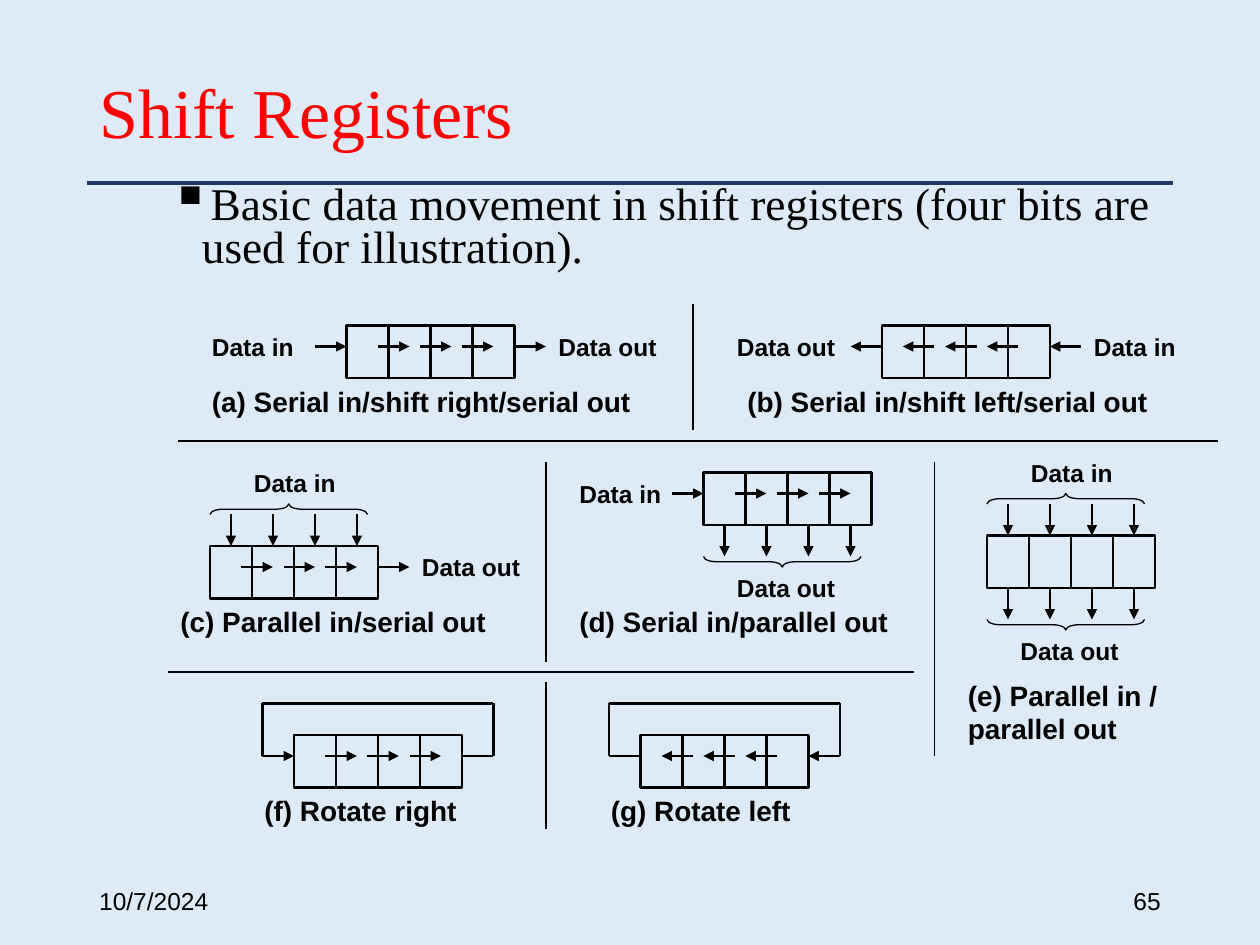
from typing import NamedTuple

from lxml.etree import SubElement
from pptx import Presentation
from pptx.dml.color import RGBColor
from pptx.enum.shapes import MSO_CONNECTOR as Link, MSO_SHAPE as Shape
from pptx.enum.text import MSO_ANCHOR as Anchor, MSO_AUTO_SIZE as Fit, PP_ALIGN as Align
from pptx.oxml.ns import qn
from pptx.util import Cm, Pt

SKY = RGBColor(0xDE, 0xEB, 0xF7)
NAVY = RGBColor(0x20, 0x38, 0x64)
RED = RGBColor(0xFF, 0, 0)
BLACK = RGBColor(0, 0, 0)
SERIF, SANS = "Times New Roman", "Arial"

# The diagrams sit on a grid of twelve steps to the inch
STEP = 2.54 / 12
CELL, BITS, HIGH, REACH, MID = 4, 4, 5, 3, 2
WIDE = CELL * BITS


class Label(NamedTuple):
    text: str
    x: float
    y: float
    wide: float
    size: int = 14


class Panel(NamedTuple):
    x: float
    y: float
    labels: list[Label]
    shift: int = 1          # 1 right, -1 left, 0 none
    ends: str = ""          # serial data: "in", "out"
    rows: str = ""          # parallel data: "in", "out"
    loop: bool = False


def data_in(x: float, y: float) -> Label:
    return Label("Data in", x, y, 11)


def data_out(x: float, y: float) -> Label:
    return Label("Data out", x, y, 12)


def title(text: str, x: float, y: float, wide: float) -> Label:
    return Label(text, x, y, wide, 16)


PANELS = [
    Panel(33, 31, [data_in(19, 31), data_out(52, 31),
                   title("(a) Serial in/shift right/serial out", 19, 36, 43)],
          ends="in out"),
    Panel(84, 31, [data_in(103, 31), data_out(69, 31),
                   title("(b) Serial in/shift left/serial out", 70, 36, 43)],
          shift=-1, ends="in out"),
    Panel(20, 52, [data_in(23, 44), data_out(39, 52),
                   title("(c) Parallel in/serial out", 16, 57, 33)],
          ends="out", rows="in"),
    Panel(67, 45, [data_in(54, 45), data_out(69, 54),
                   title("(d) Serial in/parallel out", 54, 57, 33)],
          ends="in", rows="out"),
    Panel(94, 51, [data_in(97, 43), data_out(96, 60),
                   title("(e) Parallel in / parallel out", 91, 64, 21)],
          shift=0, rows="in out"),
    Panel(28, 70, [title("(f) Rotate right", 24, 75, 23)], loop=True),
    Panel(61, 70, [title("(g) Rotate left", 57, 75, 23)], shift=-1, loop=True),
]
RULES = [(17, 42, 116, 42), (16, 64, 87, 64), (66, 29, 66, 41),
         (52, 44, 52, 63), (89, 44, 89, 72), (52, 65, 52, 79)]


def grid(*steps: float) -> list[Cm]:
    return [Cm(n * STEP) for n in steps]


def line(host, x1: float, y1: float, x2: float, y2: float,
         width: float = 1.25, head: bool = False, color: RGBColor = BLACK):
    link = host.add_connector(Link.STRAIGHT, *grid(x1, y1, x2, y2))
    link.line.color.rgb = color
    link.line.width = Pt(width)
    if head:
        SubElement(link.line._get_or_add_ln(), qn("a:tailEnd"), type="triangle")
    SubElement(link._element.spPr, qn("a:effectLst"))
    return link


def outline(host, kind: Shape, box: list[Cm], width: float):
    shape = host.add_shape(kind, *box)
    shape.shadow.inherit = False
    shape.fill.background()
    shape.line.color.rgb = BLACK
    shape.line.width = Pt(width)
    return shape


def style(para, size: float, face: str, color: RGBColor = BLACK,
          bold: bool = False) -> None:
    font = para.font
    font.size, font.name, font.bold = Pt(size), face, bold
    font.color.rgb = color


def write(host, text: str, box: list[Cm]):
    frame = host.add_textbox(*box).text_frame
    frame.word_wrap = True
    frame.text = text
    return frame


def brace(host, x: float, y: float, turn: int) -> None:
    """Draw a flat brace whose left end is x and whose middle height is y."""
    long = WIDE - 1
    box = grid(x + (long - 1) / 2, y - long / 2, 1, long)
    shape = outline(host, Shape.LEFT_BRACE, box, 0.75)
    shape.adjustments[0] = 1.25
    shape.rotation = turn


def draw(host, panel: Panel) -> None:
    x, y, mid = panel.x, panel.y, panel.y + MID
    left, right, foot = x - REACH, x + WIDE + REACH, y + HIGH

    # Register and its cells
    body = outline(host, Shape.RECTANGLE, grid(x, y, WIDE, HIGH), 1.5)
    for n in range(1, BITS):
        edge = x + n * CELL
        wall = line(host, edge, y, edge, foot, 1.5)
        if 2 * n == BITS:
            wall.begin_connect(body, 0)
            wall.end_connect(body, 2)
        # Shift arrow across the wall
        if panel.shift > 0:
            line(host, edge - 1, mid, edge + 2, mid, head=True)
        elif panel.shift < 0:
            line(host, edge + 1, mid, edge - 2, mid, head=True)

    # Serial data or the rotate loop at the sides
    sides = [(left, x), (x + WIDE, right)]
    if panel.shift < 0:
        sides = [(b, a) for a, b in reversed(sides)]
    for name, (start, end) in zip(("in", "out"), sides):
        if panel.loop or name in panel.ends.split():
            line(host, start, mid, end, mid, head=name == "in" or not panel.loop)
    if panel.loop:
        top = y - REACH
        line(host, left, top, right, top)
        for side in (left, right):
            line(host, side, top, side, mid)

    # Parallel data above and below
    for name, start, curve, turn in (("in", y - REACH, y - 3.5, 90),
                                     ("out", foot, foot + 3.5, 270)):
        if name in panel.rows.split():
            for n in range(BITS):
                col = x + CELL * (n + 0.5)
                line(host, col, start, col, start + REACH, head=True)
            brace(host, x, curve, turn)

    for label in panel.labels:
        frame = write(host, label.text, grid(label.x, label.y, label.wide, 4))
        frame.auto_size = Fit.SHAPE_TO_FIT_TEXT
        style(frame.paragraphs[0], label.size, SANS, bold=True)


def main() -> None:
    deck = Presentation()
    deck.slide_width, deck.slide_height = Cm(25.4), Cm(19.05)
    slide = deck.slides.add_slide(deck.slide_layouts[5])
    slide.background.fill.solid()
    slide.background.fill.fore_color.rgb = SKY
    shapes = slide.shapes

    # Title and the rule under it
    line(shapes, 8.25, 17.4, 111.75, 17.4, 2.25, color=NAVY)
    head = shapes.title
    head.left, head.top, head.width, head.height = Cm(1.75), Cm(1.01), Cm(21.9), Cm(2.67)
    head.text_frame.text = "Shift Registers"
    head.text_frame.vertical_anchor = Anchor.MIDDLE
    para = head.text_frame.paragraphs[0]
    para.alignment, para.line_spacing = Align.LEFT, 0.9
    style(para, 40, SERIF, RED)

    # Bullet
    para = write(shapes, "Basic data movement in shift registers "
                 "(four bits are used for illustration).",
                 [Cm(3.18), Cm(3.61), Cm(21.39), Cm(2.12)]).paragraphs[0]
    props = para._p.get_or_add_pPr()
    props.set("marL", str(Cm(0.64)))
    props.set("indent", str(-Cm(0.64)))
    SubElement(props, qn("a:buSzPct"), val="120000")
    SubElement(props, qn("a:buChar"), char="▪")
    para.line_spacing = 0.8
    style(para, 25.9, SERIF)

    # Diagrams and the rules between them
    for panel in PANELS:
        draw(shapes.add_group_shape().shapes, panel)
    for rule in RULES:
        line(shapes, *rule, width=0.75)

    # Date and slide number
    for text, x, align in (("10/7/2024", 1.75, Align.LEFT), ("65", 17.93, Align.RIGHT)):
        frame = write(shapes, text, [Cm(x), Cm(17.65), Cm(5.72), Cm(1.02)])
        frame.vertical_anchor = Anchor.MIDDLE
        frame.paragraphs[0].alignment = align
        style(frame.paragraphs[0], 14, SANS)

    deck.save("out.pptx")


if __name__ == "__main__":
    main()
